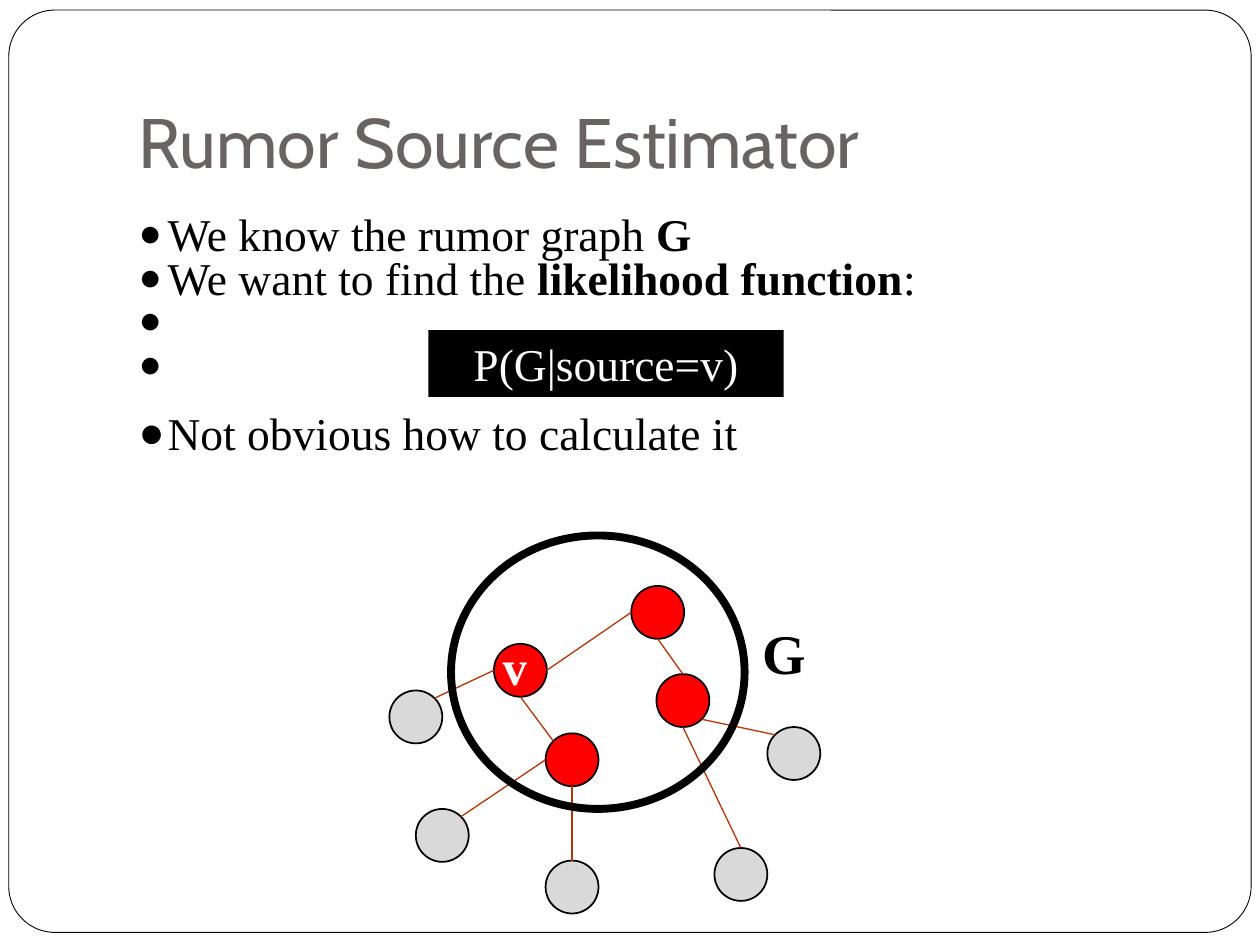
from math import cos, radians, sin

from lxml import etree
from pptx import Presentation
from pptx.dml.color import RGBColor
from pptx.enum.shapes import MSO_CONNECTOR as CONNECTOR, MSO_SHAPE as SHAPE
from pptx.enum.text import MSO_ANCHOR as ANCHOR, MSO_AUTO_SIZE as AUTO_SIZE, PP_ALIGN as ALIGN
from pptx.oxml.ns import qn
from pptx.util import Inches, Pt

COLORS = {
    "black": "000000",
    "white": "FFFFFF",
    "title": "696464",
    "infected": "FF0000",
    "healthy": "D9D9D9",
    "edge": "B0350B",
}
SERIF = "Times New Roman"
NODE_SIZE = 0.42

# Left and top of each node, and its state
NODES = {
    "v": (3.92, 5.11, "infected"),
    "right": (5.21, 5.35, "infected"),
    "far right": (6.09, 5.77, "healthy"),
    "far left": (3.09, 5.48, "healthy"),
    "lower left": (3.3, 6.42, "healthy"),
    "centre": (4.33, 5.82, "infected"),
    "bottom": (4.33, 6.83, "healthy"),
    "lower right": (5.67, 6.73, "healthy"),
    "top": (5.01, 4.65, "infected"),
}
# Each end is a node and the angle of the rim point, clockwise from the right
EDGES = [
    ("v", 0, "top", 180),
    ("v", 90, "centre", 225),
    ("top", 90, "right", 270),
    ("far right", 225, "right", 45),
    ("centre", 90, "bottom", 270),
    ("right", 90, "lower right", 270),
    ("v", 180, "far left", 315),
    ("centre", 180, "lower left", 315),
]


def rgb(name):
    return RGBColor.from_string(COLORS[name])


def place(shape, left, top, width, height):
    shape.left, shape.top = Inches(left), Inches(top)
    shape.width, shape.height = Inches(width), Inches(height)


def write(paragraph, text, size=26, font=SERIF, color="black", bold=False):
    run = paragraph.add_run()
    run.text = text
    run.font.size = Pt(size)
    run.font.name = font
    run.font.bold = bold
    run.font.color.rgb = rgb(color)


def add_bullet(paragraph, percent):
    properties = paragraph._p.get_or_add_pPr()
    properties.set("marL", str(Inches(0.23)))
    properties.set("indent", str(-Inches(0.23)))
    etree.SubElement(properties, qn("a:buSzPct"), val=str(percent * 1000))
    etree.SubElement(properties, qn("a:buChar"), char="●")


def fill_list(body, box, items, bullet_percent):
    """Write items, each a list of (text, bold) pairs, as a bulleted list."""
    place(body, *box)
    frame = body.text_frame
    frame.auto_size = AUTO_SIZE.NONE
    for number, item in enumerate(items):
        paragraph = frame.add_paragraph() if number else frame.paragraphs[0]
        add_bullet(paragraph, bullet_percent)
        paragraph.line_spacing = 0.8
        paragraph.space_before = Pt(0)
        for text, bold in item:
            write(paragraph, text, bold=bold)


def add_title(title, text):
    place(title, 1, 0.3, 8.5, 1.25)
    frame = title.text_frame
    frame.auto_size = AUTO_SIZE.NONE
    frame.vertical_anchor = ANCHOR.BOTTOM
    frame.margin_bottom = Inches(0.1)
    frame.paragraphs[0].alignment = ALIGN.LEFT
    write(frame.paragraphs[0], text, size=40, font="Cabin", color="title")


def add_shape(slide, kind, box, fill=None, line_width=None):
    shape = slide.shapes.add_shape(kind, *map(Inches, box))
    shape.shadow.inherit = False
    if fill:
        shape.fill.solid()
        shape.fill.fore_color.rgb = rgb(fill)
    else:
        shape.fill.background()
    if line_width:
        shape.line.color.rgb = rgb("black")
        shape.line.width = Pt(line_width)
    else:
        shape.line.fill.background()
    return shape


def add_label(slide, text, box, **text_format):
    label = slide.shapes.add_textbox(*map(Inches, box))
    label.text_frame.word_wrap = False
    write(label.text_frame.paragraphs[0], text, bold=True, **text_format)


def add_formula(slide, text):
    formula = add_shape(slide, SHAPE.RECTANGLE, (3.4, 2.62, 2.82, 0.53), fill="black")
    frame = formula.text_frame
    frame.word_wrap = False
    frame.vertical_anchor = ANCHOR.TOP
    frame.paragraphs[0].alignment = ALIGN.CENTER
    write(frame.paragraphs[0], text, color="white")


def rim_point(node, angle):
    left, top, _ = NODES[node]
    radius = NODE_SIZE / 2
    return (Inches(left + radius + radius * cos(radians(angle))),
            Inches(top + radius + radius * sin(radians(angle))))


def add_edge(slide, start, start_angle, end, end_angle):
    edge = slide.shapes.add_connector(
        CONNECTOR.STRAIGHT, *rim_point(start, start_angle), *rim_point(end, end_angle))
    edge.line.color.rgb = rgb("edge")
    edge.line.width = Pt(0.75)
    etree.SubElement(edge._element.spPr, qn("a:effectLst"))


def add_graph(slide):
    for left, top, state in NODES.values():
        add_shape(slide, SHAPE.OVAL, (left, top, NODE_SIZE, NODE_SIZE), state, line_width=1)
    for edge in EDGES:
        add_edge(slide, *edge)
    add_shape(slide, SHAPE.OVAL, (3.58, 4.25, 2.33, 2.17), line_width=4.5)
    add_label(slide, "G", (5.95, 4.86, 0.56, 0.63), size=32)
    add_label(slide, "v", (3.89, 5, 0.45, 0.57), size=28, color="white")


def main():
    deck = Presentation()
    deck.slide_width, deck.slide_height = Inches(10), Inches(7.5)
    slide = deck.slides.add_slide(deck.slide_layouts.get_by_name("Two Content"))
    title, known, difficulty = slide.placeholders

    border = add_shape(slide, SHAPE.ROUNDED_RECTANGLE, (0.07, 0.08, 9.86, 7.32), line_width=0.5)
    border.adjustments[0] = 0.05
    add_title(title, "Rumor Source Estimator")
    fill_list(known, (1, 1.67, 9, 0.83), [
        [("We know the rumor graph ", False), ("G", True)],
        [("We want to find the ", False), ("likelihood function", True), (":\n \n", False)],
    ], bullet_percent=85)
    add_formula(slide, "P(G|source=v)")
    fill_list(difficulty, (1, 3.25, 9, 0.83),
              [[("Not obvious how to calculate it", False)]], bullet_percent=95)
    add_graph(slide)
    deck.save("out.pptx")


if __name__ == "__main__":
    main()
